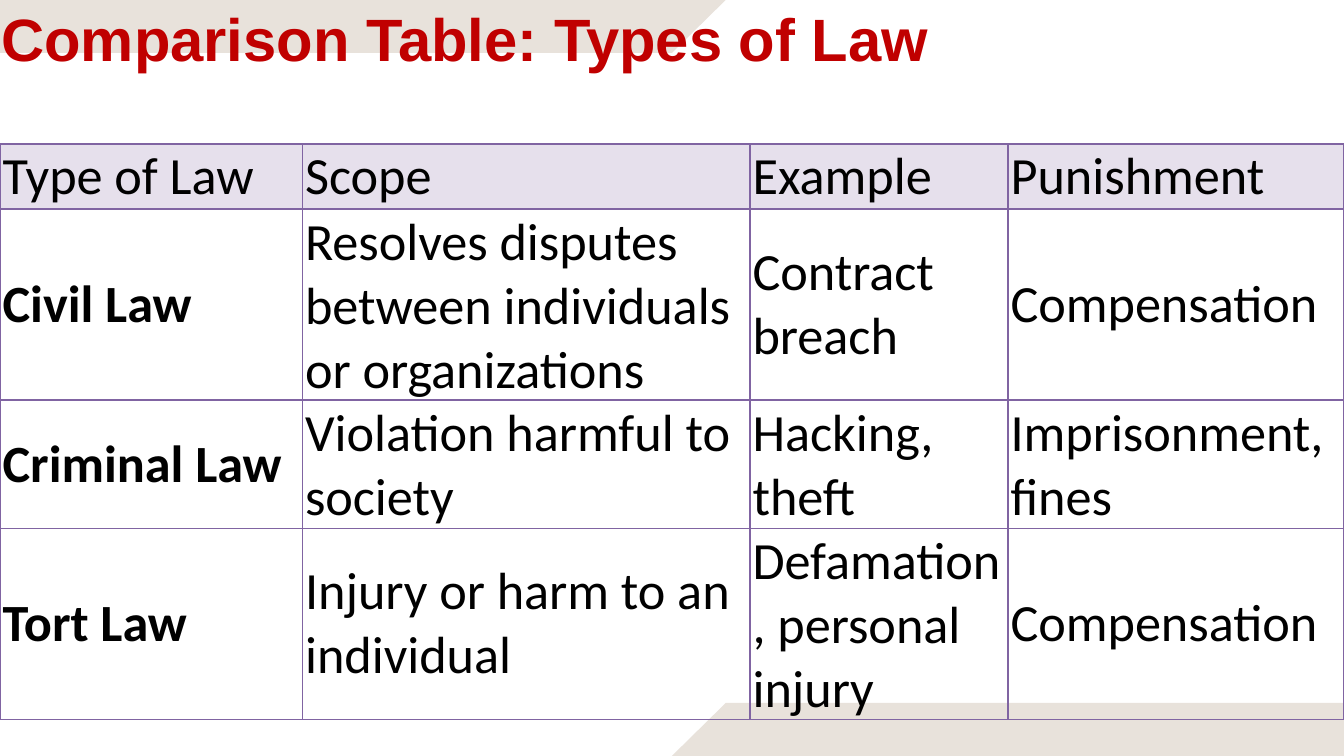
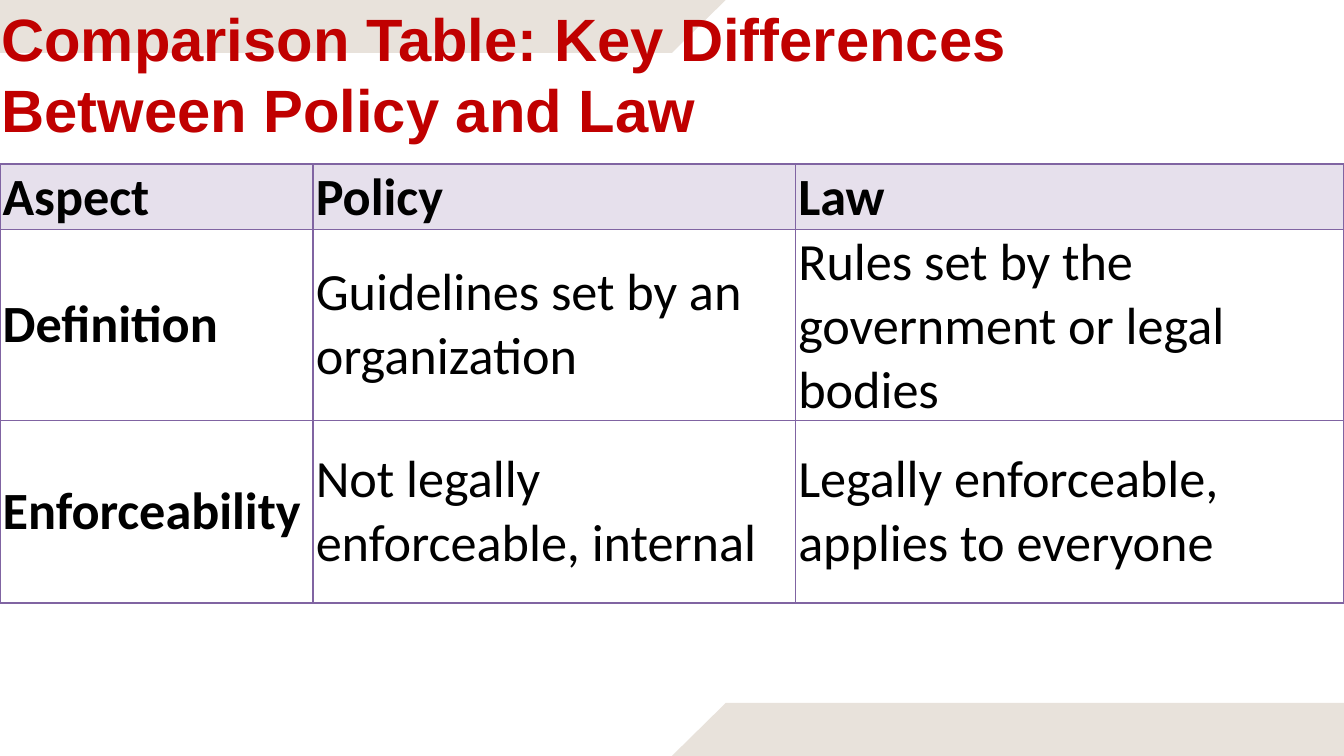
from pptx import Presentation, oxml, util as u
from pptx.dml.color import RGBColor
from pptx.enum import text as t
from pptx.oxml.ns import nsdecls

SLIDE_W, SLIDE_H = u.Pt(720), u.Pt(405)  # 16:9
TITLE_RED = RGBColor(0xC0, 0x00, 0x00)
INK = RGBColor(0x00, 0x00, 0x00)
SAND = RGBColor(0xE8, 0xE2, 0xDB)
LAVENDER = RGBColor(0xE6, 0xE0, 0xEC)
BORDER_PURPLE = RGBColor(0x80, 0x64, 0xA2)

# Outlines as shares of the slide's width and height
BANDS = (
    ((0.54, 0), (0, 0), (0, 0.07), (0.5, 0.07)),
    ((1, 0.93), (0.54, 0.93), (0.5, 1), (1, 1)),
)
TITLE_WIDTH = 0.908
ROW_HEIGHTS = {1: 0.48, 2: 0.95, 3: 1.42}  # inches by lines of text

LAW_TYPES = (
    ("Type of Law", "Scope", "Example", "Punishment"),
    ("Civil Law", "Resolves disputes between individuals or organizations",
     "Contract breach", "Compensation"),
    ("Criminal Law", "Violation harmful to society",
     "Hacking, theft", "Imprisonment, fines"),
    ("Tort Law", "Injury or harm to an individual",
     "Defamation, personal injury", "Compensation"),
)
POLICY_VS_LAW = (
    ("Aspect", "Policy", "Law"),
    ("Definition", "Guidelines set by an organization",
     "Rules set by the government or legal bodies"),
    ("Enforceability", "Not legally enforceable, internal",
     "Legally enforceable, applies to everyone"),
)


def write(frame, words, *, font, size, color, bold=False, before=0, indent=0):
    """Put one left-aligned, formatted paragraph into a text frame."""
    paragraph = frame.paragraphs[0]
    paragraph.alignment = t.PP_ALIGN.LEFT
    paragraph.space_before = u.Pt(before)
    if indent:
        paragraph._p.get_or_add_pPr().set("marL", str(u.Inches(indent)))
    run = paragraph.add_run()
    run.text = words
    run.font.name, run.font.size, run.font.bold = font, u.Pt(size), bold
    run.font.color.rgb = color


def add_bands(slide):
    """Draw the corner bands and hand them to the layout, behind its text."""
    layout_tree = slide.slide_layout.shapes.element
    for number, outline in enumerate(BANDS):
        corners = [(int(x * SLIDE_W), int(y * SLIDE_H)) for x, y in outline]
        builder = slide.shapes.build_freeform(*corners[0])
        builder.add_line_segments(corners[1:], close=True)
        band = builder.convert_to_shape()
        band.shadow.inherit = False
        band.fill.solid()
        band.fill.fore_color.rgb = SAND
        band.line.fill.background()
        band.element.nvSpPr.cNvPr.set("id", str(100 + number))
        layout_tree.insert(2 + number, band.element)


def add_title(slide, words, height):
    title = slide.shapes.title
    title.left, title.top = 0, 0
    title.width, title.height = int(TITLE_WIDTH * SLIDE_W), u.Inches(height)
    frame = title.text_frame
    frame.margin_left = frame.margin_right = frame.margin_bottom = 0
    frame.margin_top = u.Inches(0.01)
    frame.vertical_anchor = t.MSO_ANCHOR.TOP
    frame.word_wrap = True
    frame.auto_size = t.MSO_AUTO_SIZE.SHAPE_TO_FIT_TEXT
    write(frame, words, font="Arial", size=32, color=TITLE_RED,
          bold=True, before=1.1, indent=0.01)


def outline_cell(cell):
    properties = cell._tc.get_or_add_tcPr()
    for index, side in enumerate("LRTB"):
        properties.insert(index, oxml.parse_xml(
            f'<a:ln{side} {nsdecls("a")} w="{u.Pt(1)}"><a:solidFill>'
            f'<a:srgbClr val="{BORDER_PURPLE}"/></a:solidFill></a:ln{side}>'))


def fill_cell(cell, words, header, bold):
    cell.margin_left = cell.margin_right = u.Inches(0.02)
    cell.margin_top = cell.margin_bottom = u.Inches(0.01)
    cell.vertical_anchor = t.MSO_ANCHOR.MIDDLE
    if header:
        cell.fill.solid()
        cell.fill.fore_color.rgb = LAVENDER
    else:
        cell.fill.background()
    outline_cell(cell)
    write(cell.text_frame, words, font="Calibri", size=28, color=INK, bold=bold)


def add_comparison(slide, rows, top, columns, heights, bold_header):
    """Full-width table; columns are shares of the slide's width."""
    table = slide.shapes.add_table(
        len(rows), len(columns), 0, u.Inches(top),
        SLIDE_W, u.Inches(sum(heights))).table
    table.first_row = table.horz_banding = False
    for column, share in zip(table.columns, columns):
        column.width = int(share * SLIDE_W)
    for row, height in zip(table.rows, heights):
        row.height = u.Inches(height)
    for r, row in enumerate(rows):
        for c, words in enumerate(row):
            bold = bold_header if r == 0 else c == 0
            fill_cell(table.cell(r, c), words, header=r == 0, bold=bold)


def main():
    prs = Presentation()
    prs.slide_width, prs.slide_height = SLIDE_W, SLIDE_H
    title_only = prs.slide_layouts[5]

    # Types of law
    types = prs.slides.add_slide(title_only)
    add_bands(types)
    add_title(types, "Comparison Table: Types of Law", 0.55)
    add_comparison(types, LAW_TYPES, top=1.07,
                   columns=(0.225, 0.333, 0.192, 0.25),
                   heights=[ROW_HEIGHTS[lines] for lines in (1, 3, 2, 3)],
                   bold_header=False)

    # Policy against law
    differences = prs.slides.add_slide(title_only)
    add_title(differences,
              "Comparison Table: Key Differences Between Policy and Law", 1.09)
    add_comparison(differences, POLICY_VS_LAW, top=1.22,
                   columns=(0.233, 0.359, 0.408),
                   heights=[ROW_HEIGHTS[1], ROW_HEIGHTS[3], 1.36],
                   bold_header=True)
    prs.save("out.pptx")


if __name__ == "__main__":
    main()
